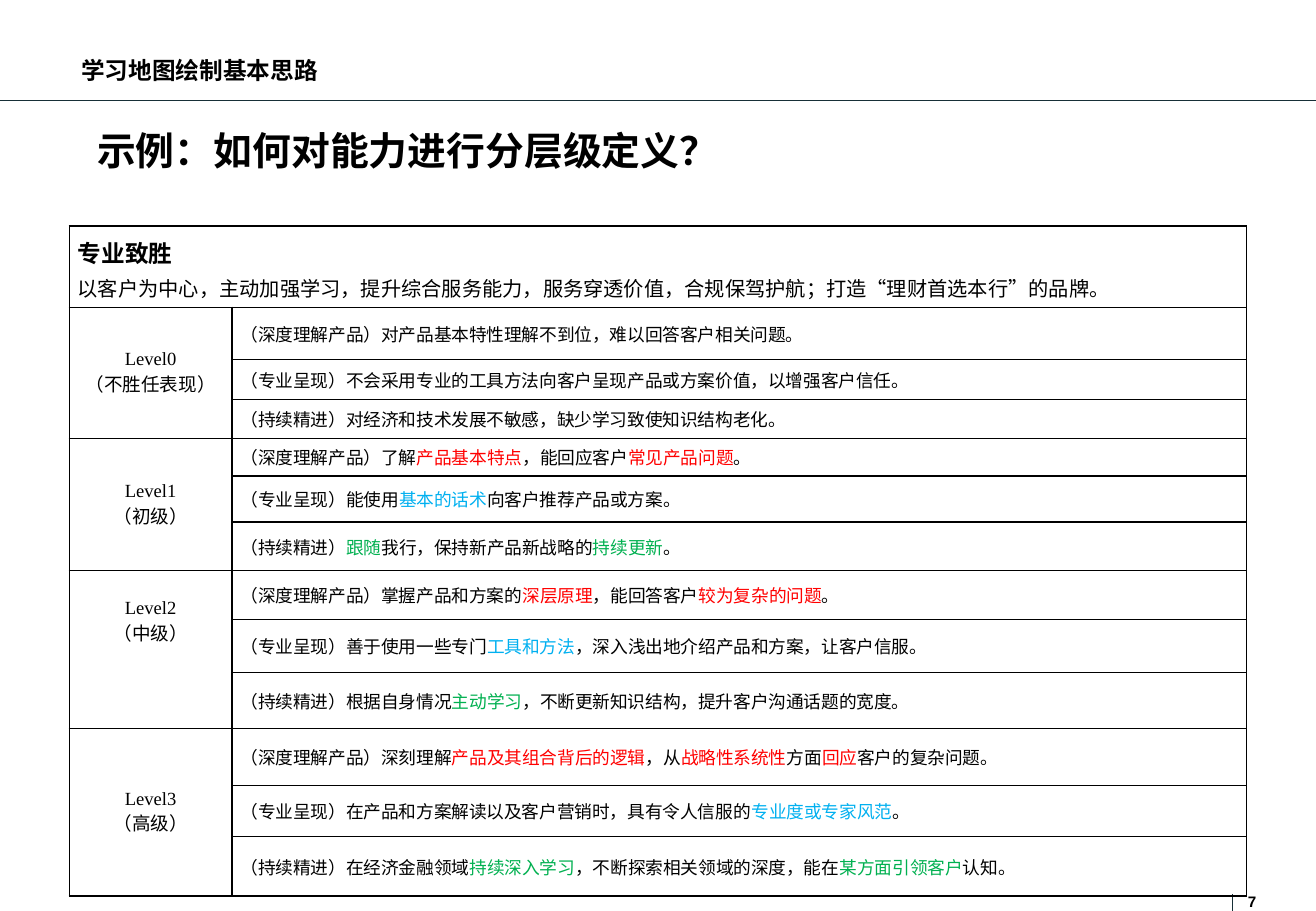
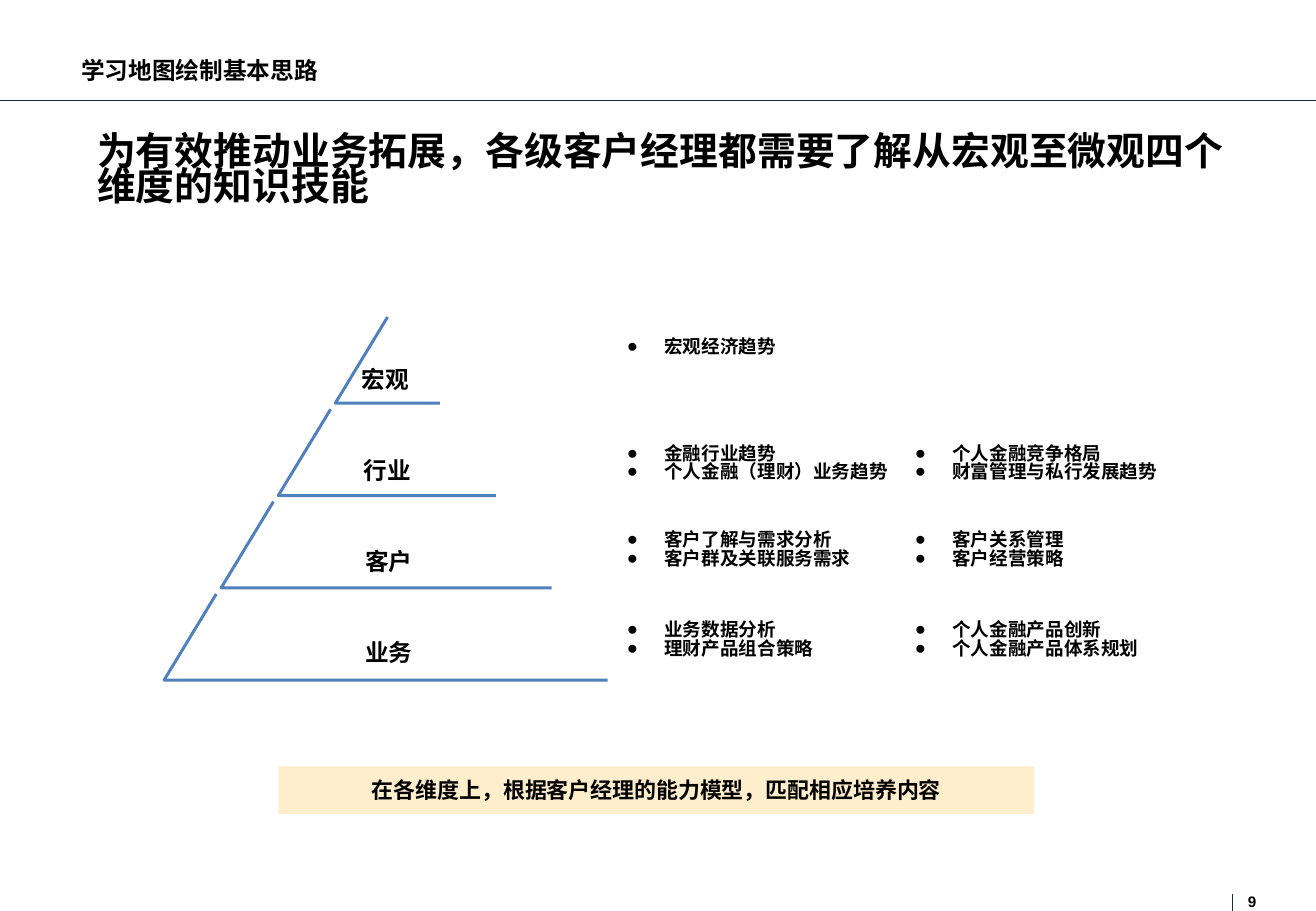
from itertools import accumulate

from lxml import etree
from pptx import Presentation
from pptx.dml.color import RGBColor
from pptx.enum.shapes import MSO_CONNECTOR, MSO_SHAPE
from pptx.enum.text import MSO_ANCHOR, PP_ALIGN
from pptx.oxml.ns import qn
from pptx.util import Inches, Pt

LEFT, CENTER = PP_ALIGN.LEFT, PP_ALIGN.CENTER
TOP, MIDDLE = MSO_ANCHOR.TOP, MSO_ANCHOR.MIDDLE
RECTANGLE, STRAIGHT = MSO_SHAPE.RECTANGLE, MSO_CONNECTOR.STRAIGHT

THEME = {
    "width": 10.83, "height": 7.5,
    "cjk": "Noto Sans CJK SC", "sans": "Arial", "serif": "Times New Roman",
    "text": "000000", "rule": "172F37", "pyramid": "4F81BD", "banner": "FFEECC",
    "title": 23, "heading": 14, "banner_text": 13, "lead": 12,
    "body": 11, "detail": 10.5, "page": 9,
}

SECTION = "学习地图绘制基本思路"

LEVEL_TITLE = "示例：如何对能力进行分层级定义？"
ABILITY = "专业致胜"
ABILITY_GOAL = ("以客户为中心，主动加强学习，提升综合服务能力，服务穿透价值，"
                "合规保驾护航；打造“理财首选本行”的品牌。")
# Each aspect has its own highlight colour; highlighted words stand between bars.
ASPECTS = [("（深度理解产品）", "FF0000"), ("（专业呈现）", "00B0F0"), ("（持续精进）", "00B050")]
LEVELS = [
    ("Level0", "（不胜任表现）", 3, [
        "对产品基本特性理解不到位，难以回答客户相关问题。",
        "不会采用专业的工具方法向客户呈现产品或方案价值，以增强客户信任。",
        "对经济和技术发展不敏感，缺少学习致使知识结构老化。"]),
    ("Level1", "（初级）", 3, [
        "了解|产品基本特点|，能回应客户|常见产品问题|。",
        "能使用|基本的话术|向客户推荐产品或方案。",
        "|跟随|我行，保持新产品新战略的|持续更新|。"]),
    ("Level2", "（中级）", 2, [
        "掌握产品和方案的|深层原理|，能回答客户|较为复杂的问题|。",
        "善于使用一些专门|工具和方法|，深入浅出地介绍产品和方案，让客户信服。",
        "根据自身情况|主动学习|，不断更新知识结构，提升客户沟通话题的宽度。"]),
    ("Level3", "（高级）", 3, [
        "深刻理解|产品及其组合背后的逻辑|，从|战略性系统性|方面|回应|客户的复杂问题。",
        "在产品和方案解读以及客户营销时，具有令人信服的|专业度或专家风范|。",
        "在经济金融领域|持续深入学习|，不断探索相关领域的深度，能在|某方面引领客户|认知。"]),
]
COLUMN_WIDTHS = [1.34, 8.35]
ROW_HEIGHTS = [0.67, 0.43, 0.33, 0.32, 0.31, 0.38, 0.4, 0.4, 0.44, 0.46, 0.47, 0.42, 0.49]

PYRAMID_TITLE = "为有效推动业务拓展，各级客户经理都需要了解从宏观至微观四个维度的知识技能"
# Tier name, centre of the name, top of its topics, topics by column
TIERS = [
    ("宏观", 3.17, 2.74, [["宏观经济趋势"]]),
    ("行业", 3.19, 3.62, [["金融行业趋势", "个人金融（理财）业务趋势"],
                        ["个人金融竞争格局", "财富管理与私行发展趋势"]]),
    ("客户", 3.2, 4.33, [["客户了解与需求分析", "客户群及关联服务需求"],
                       ["客户关系管理", "客户经营策略"]]),
    ("业务", 3.2, 5.07, [["业务数据分析", "理财产品组合策略"],
                       ["个人金融产品创新", "个人金融产品体系规划"]]),
]
BANNER = "在各维度上，根据客户经理的能力模型，匹配相应培养内容"


def rgb(colour):
    return RGBColor.from_string(colour)


def box_of(*lengths):
    return [Inches(length) for length in lengths]


def add_run(paragraph, text, size, font="sans", bold=False, colour=THEME["text"]):
    run = paragraph.add_run()
    run.text = text
    values = {"size": Pt(size), "name": THEME[font], "bold": bold}
    for key, value in values.items():
        setattr(run.font, key, value)
    run.font.color.rgb = rgb(colour)
    east_asian = etree.SubElement(run.font._element, qn("a:ea"))
    east_asian.set("typeface", THEME["cjk"])


def add_bullet(paragraph, indent=0.31):
    properties = paragraph._p.get_or_add_pPr()
    properties.set("marL", str(Inches(indent)))
    properties.set("indent", str(-Inches(indent)))
    etree.SubElement(properties, qn("a:buFont")).set("typeface", THEME["sans"])
    etree.SubElement(properties, qn("a:buChar")).set("char", "●")


def write(frame, lines, size, font="sans", bold=True, align=LEFT, anchor=TOP,
          wrap=True, inset=(0.1, 0.05), spacing=None, bullets=False):
    across, down = box_of(*inset)
    values = {"word_wrap": wrap, "vertical_anchor": anchor,
              "margin_left": across, "margin_right": across,
              "margin_top": down, "margin_bottom": down}
    for key, value in values.items():
        setattr(frame, key, value)
    for index, line in enumerate(lines):
        paragraph = frame.add_paragraph() if index else frame.paragraphs[0]
        if bullets:
            add_bullet(paragraph)
        paragraph.alignment = align
        if spacing:
            paragraph.line_spacing = spacing
        add_run(paragraph, line, size, font, bold)


def add_text(slide, box, lines, size, **style):
    write(slide.shapes.add_textbox(*box_of(*box)).text_frame, lines, size, **style)


def add_rule(slide, *ends):
    rule = slide.shapes.add_connector(STRAIGHT, *box_of(*ends))
    rule.line.color.rgb = rgb(THEME["rule"])
    rule.line.width = Pt(0.75)
    etree.SubElement(rule._element.spPr, qn("a:effectLst"))


def add_page(deck, title, number):
    """Add a slide with the shared section header, title and page number."""
    slide = deck.slides.add_slide(deck.slide_layouts[6])
    add_rule(slide, 0, 0.83, THEME["width"], 0.83)
    add_rule(slide, 10.14, 7.36, 10.14, THEME["height"])
    add_text(slide, (0.57, 0.42, 2.74, 0.32), [SECTION], THEME["heading"],
             font="cjk", anchor=MIDDLE, wrap=False)
    add_text(slide, (0.8, 1.13, 9.36, 0.72), [title], THEME["title"],
             font="cjk", inset=(0, 0), spacing=0.75)
    add_text(slide, (10.27, 7.35, 0.17, 0.14), [str(number)], THEME["page"], inset=(0, 0))
    return slide


def set_borders(cell, hidden=""):
    """Draw the four cell borders, leaving out the sides named in hidden."""
    properties = cell._tc.get_or_add_tcPr()
    for index, side in enumerate("LRTB"):
        border = etree.Element(qn(f"a:ln{side}"), w=str(Pt(1)))
        if side in hidden:
            etree.SubElement(border, qn("a:noFill"))
        else:
            fill = etree.SubElement(border, qn("a:solidFill"))
            etree.SubElement(fill, qn("a:srgbClr")).set("val", THEME["text"])
        properties.insert(index, border)


def write_cell(cell, lines, size, bold=False, align=LEFT, inset=(0.07, 0.03), **style):
    cell.vertical_anchor = style.pop("anchor", MIDDLE)
    cell.margin_left = cell.margin_right = Inches(inset[0])
    cell.margin_top = cell.margin_bottom = Inches(inset[1])
    for index, line in enumerate(lines):
        frame = cell.text_frame
        paragraph = frame.add_paragraph() if index else frame.paragraphs[0]
        paragraph.alignment = align
        paragraph.line_spacing = style.get("spacing")
        add_run(paragraph, line, size, "serif", bold)


def write_behaviour(cell, aspect, behaviour):
    name, highlight = aspect
    write_cell(cell, [name], THEME["detail"])
    for index, part in enumerate(behaviour.split("|")):
        if part:
            add_run(cell.text_frame.paragraphs[0], part, THEME["detail"], "serif",
                    colour=highlight if index % 2 else THEME["text"])


def build_levels(deck):
    slide = add_page(deck, LEVEL_TITLE, 7)
    box = box_of(0.57, 1.86, sum(COLUMN_WIDTHS), sum(ROW_HEIGHTS))
    table = slide.shapes.add_table(len(ROW_HEIGHTS), len(COLUMN_WIDTHS), *box).table
    table.first_row = table.horz_banding = False
    for column, width in zip(table.columns, COLUMN_WIDTHS):
        column.width = Inches(width)
    for row, height in zip(table.rows, ROW_HEIGHTS):
        row.height = Inches(height)

    hidden = {}
    heading = table.cell(0, 0)
    heading.merge(table.cell(0, 1))
    write_cell(heading, [ABILITY], THEME["heading"], bold=True, anchor=TOP, spacing=1.15)
    goal = heading.text_frame.add_paragraph()
    goal.line_spacing = 1.15
    add_run(goal, ABILITY_GOAL, THEME["lead"], "serif")

    starts = accumulate((len(level[3]) for level in LEVELS), initial=1)
    for start, (level, grade, span, behaviours) in zip(starts, LEVELS):
        label = table.cell(start, 0)
        label.merge(table.cell(start + span - 1, 0))
        write_cell(label, [level, grade], THEME["body"], align=CENTER, inset=(0, 0))
        if span < len(behaviours):
            hidden.update({(row, 0): "B" for row in range(start, start + span)})
            hidden[start + span, 0] = "T"
        for offset, (aspect, behaviour) in enumerate(zip(ASPECTS, behaviours)):
            write_behaviour(table.cell(start + offset, 1), aspect, behaviour)

    for row in range(len(ROW_HEIGHTS)):
        for column in range(len(COLUMN_WIDTHS)):
            cell = table.cell(row, column)
            cell.fill.background()
            set_borders(cell, hidden.get((row, column), ""))


def add_tier_outline(slide, tier):
    """Draw the sloping left side and the base of one pyramid tier."""
    left, right, base = 2.76 - 0.47 * tier, 3.62 + 0.46 * tier, 3.32 + 0.76 * tier
    points = [tuple(box_of(*point)) for point in
              [(left + 0.43, base - 0.71), (left, base), (right, base)]]
    builder = slide.shapes.build_freeform(*points[0])
    builder.add_line_segments(points[1:], close=False)
    outline = builder.convert_to_shape()
    outline.shadow.inherit = False
    outline.fill.background()
    outline.line.color.rgb = rgb(THEME["pyramid"])
    outline.line.width = Pt(1.75)


def build_pyramid(deck):
    slide = add_page(deck, PYRAMID_TITLE, 9)
    for tier, (name, centre, topics_top, columns) in enumerate(TIERS):
        add_tier_outline(slide, tier)
        add_text(slide, (centre - 0.6, 2.98 + 0.75 * tier, 1.2, 0.34), [name],
                 THEME["heading"], align=CENTER, spacing=0.9)
        for column, topics in enumerate(columns):
            box = (5.06 + 2.37 * column, topics_top, 2.44, 0.1 + 0.19 * len(topics))
            add_text(slide, box, topics, THEME["body"], spacing=0.83, bullets=True)

    banner = slide.shapes.add_shape(RECTANGLE, *box_of(2.29, 6.31, 6.22, 0.39))
    banner.shadow.inherit = False
    banner.fill.solid()
    banner.fill.fore_color.rgb = rgb(THEME["banner"])
    banner.line.fill.background()
    write(banner.text_frame, [BANNER], THEME["banner_text"], align=CENTER,
          anchor=MIDDLE, wrap=False)


def main():
    deck = Presentation()
    deck.slide_width, deck.slide_height = box_of(THEME["width"], THEME["height"])
    build_levels(deck)
    build_pyramid(deck)
    deck.save("out.pptx")


if __name__ == "__main__":
    main()
